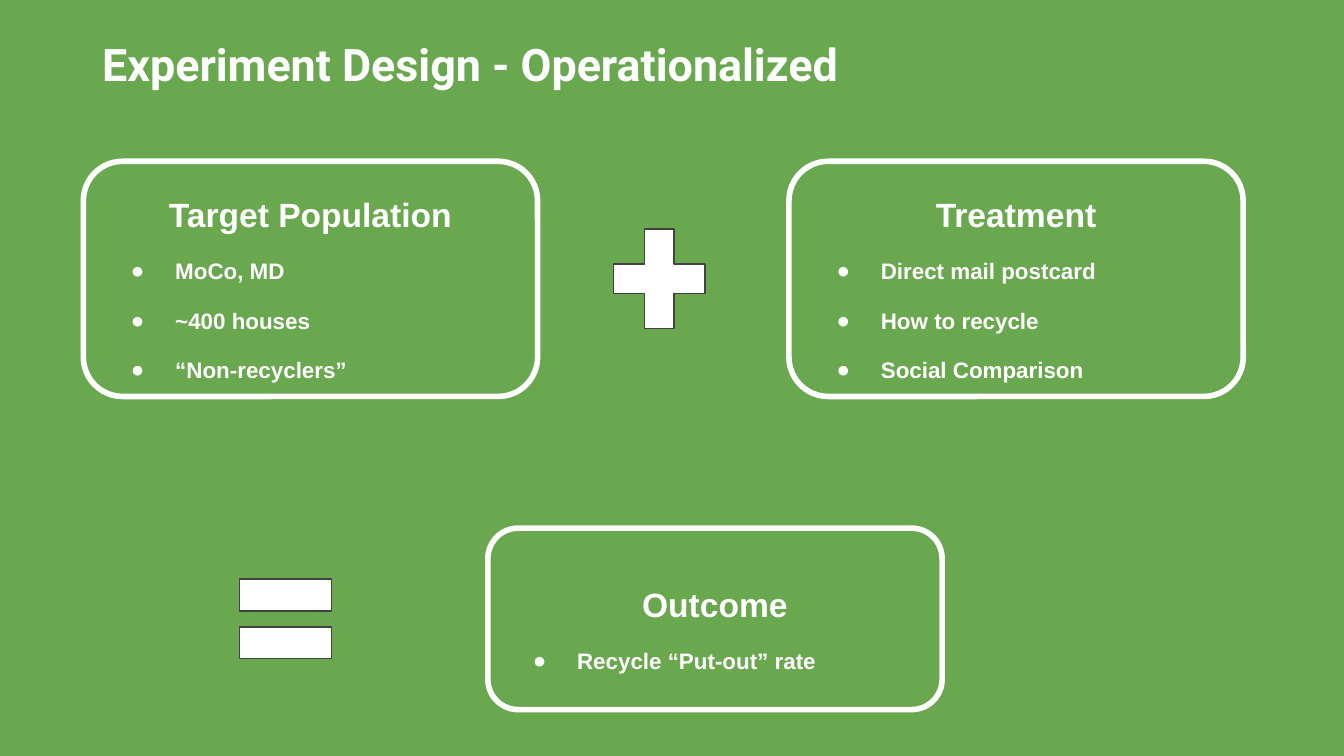
from lxml import etree
from pptx import Presentation
from pptx import util as u
from pptx.dml.color import RGBColor
from pptx.enum import shapes, text
from pptx.oxml.ns import qn

HUES = {"green": "6AA84F", "white": "FFFFFF", "grey": "424242"}
KINDS = shapes.MSO_SHAPE
SIDES = text.PP_ALIGN


def write(par, words, font="Arial", size=12, side=SIDES.LEFT, space=None, gap=0, dot=None):
    par.alignment = side
    par.space_before = u.Pt(gap)
    if space:
        par.line_spacing = space
    if dot:
        props = par._p.get_or_add_pPr()
        props.set("marL", str(u.Inches(0.5)))
        props.set("indent", str(u.Inches(-0.33)))
        tint = etree.SubElement(props, qn("a:buClr"))
        etree.SubElement(tint, qn("a:srgbClr"), val=HUES["white"])
        etree.SubElement(props, qn("a:buFont"), typeface=font)
        etree.SubElement(props, qn("a:buChar"), char=dot)
    run = par.add_run()
    run.text = words
    run.font.name = font
    run.font.size = u.Pt(size)
    run.font.bold = True
    run.font.color.rgb = RGBColor.from_string(HUES["white"])


def draw(kind, box, fill, line, width, bends):
    shape = slide.shapes.add_shape(kind, *map(u.Inches, box))
    shape.shadow.inherit = False
    shape.fill.solid()
    shape.fill.fore_color.rgb = RGBColor.from_string(HUES[fill])
    shape.line.color.rgb = RGBColor.from_string(HUES[line])
    shape.line.width = u.Pt(width)
    for i, bend in enumerate(bends):
        shape.adjustments[i] = bend
    return shape


deck = Presentation()
deck.slide_width = u.Inches(10)
deck.slide_height = deck.slide_width * 9 // 16
slide = deck.slides.add_slide(deck.slide_layouts[5])
slide.background.fill.solid()
slide.background.fill.fore_color.rgb = RGBColor.from_string(HUES["green"])

title = slide.shapes.title
title.left, title.top = u.Inches(0.66), u.Inches(0.17)
title.width, title.height = u.Inches(7.69), u.Inches(0.74)
frame = title.text_frame
frame.auto_size = text.MSO_AUTO_SIZE.NONE
frame.vertical_anchor = text.MSO_ANCHOR.TOP
frame.margin_left = frame.margin_right = u.Inches(0.1)
frame.margin_top = frame.margin_bottom = u.Inches(0.1)
write(frame.paragraphs[0], "Experiment Design - Operationalized", font="Roboto", size=24)

signs = [
    (KINDS.MATH_PLUS, 4.44, 1.57, [0.235]),
    (KINDS.MATH_EQUAL, 1.66, 4.1, [0.235, 0.118]),
]
for kind, left, top, bends in signs:
    draw(kind, (left, top, 0.93, 1.01), "white", "grey", 0.75, bends)

cards = [
    (0.62, 1.2, 1.75, "Target Population", ["MoCo, MD", "~400 houses", "“Non-recyclers”"]),
    (3.63, 3.93, 1.35, "Outcome", ["Recycle “Put-out” rate"]),
    (5.87, 1.2, 1.75, "Treatment", ["Direct mail postcard", "How to recycle", "Social Comparison"]),
]
for left, top, height, head, items in cards:
    card = draw(KINDS.ROUNDED_RECTANGLE, (left, top, 3.38, height), "green", "white", 3, [0.167])
    frame = card.text_frame
    frame.word_wrap = True
    frame.vertical_anchor = text.MSO_ANCHOR.MIDDLE
    frame.margin_left = frame.margin_right = u.Inches(0.1)
    frame.margin_top = frame.margin_bottom = u.Inches(0.1)
    write(frame.paragraphs[0], head, size=18, side=SIDES.CENTER, space=1.5)
    for item in items:
        write(frame.add_paragraph(), item, space=1.15, gap=10, dot="●")

deck.save("out.pptx")
